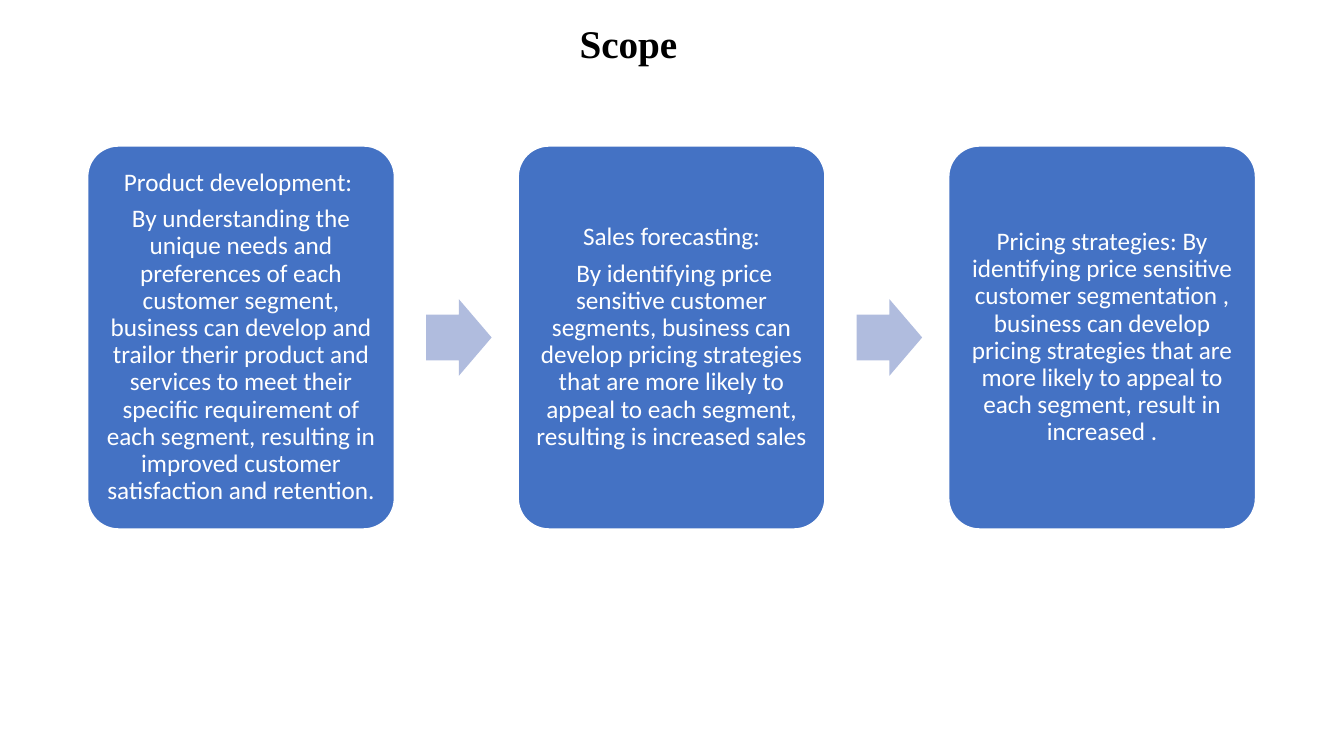
from pptx import Presentation
from pptx.dml.color import RGBColor
from pptx.enum.shapes import MSO_SHAPE as Kind
from pptx.enum.text import MSO_ANCHOR as Anchor, MSO_AUTO_SIZE as Fit, PP_ALIGN as Align
from pptx.util import Cm, Pt

BLUE = RGBColor(0x44, 0x72, 0xC4)
PALE = RGBColor(0xB0, 0xBC, 0xDE)
WHITE = RGBColor(0xFF, 0xFF, 0xFF)
BLACK = RGBColor(0, 0, 0)

LEFT, TOP, WIDE, HIGH, STEP = 2.21, 3.68, 7.73, 9.65, 10.85
CARDS = [
    ["Product development: ",
     "By understanding the unique needs and preferences of each customer segment, "
     "business can develop and trailor therir product and services to meet their "
     "specific requirement of each segment, resulting in improved customer "
     "satisfaction and retention."],
    ["Sales forecasting:",
     " By identifying price sensitive customer segments, business can develop "
     "pricing strategies that are more likely to appeal to each segment, "
     "resulting is increased sales "],
    ["Pricing strategies: By identifying price sensitive customer segmentation , "
     "business can develop pricing strategies that are more likely to appeal to "
     "each segment, result in increased ."],
]


def write(par, text, font, size, color, align):
    par.alignment = align
    par.line_spacing = 0.9
    run = par.add_run()
    run.text = text
    run.font.name = font
    run.font.size = Pt(size)
    run.font.color.rgb = color
    return run


deck = Presentation()
deck.slide_width, deck.slide_height = Cm(33.87), Cm(19.05)
slide = deck.slides.add_slide(deck.slide_layouts[5])

title = slide.shapes.title
title.left, title.top, title.width, title.height = Cm(14.35), Cm(0.74), Cm(4.7), Cm(0.84)
frame = title.text_frame
frame.auto_size = Fit.NONE
frame.vertical_anchor = Anchor.MIDDLE
run = write(frame.paragraphs[0], "Scope", "Times New Roman", 28, BLACK, Align.LEFT)
run.font.bold = True

for num, texts in enumerate(CARDS):
    left = LEFT + num * STEP
    if num:
        arrow = slide.shapes.add_shape(
            Kind.RIGHT_ARROW, Cm(left - 2.32), Cm(7.54), Cm(1.65), Cm(1.93))
        arrow.adjustments[0] = 0.6
        arrow.adjustments[1] = 0.5
        arrow.shadow.inherit = False
        arrow.fill.solid()
        arrow.fill.fore_color.rgb = PALE
        arrow.line.fill.background()

    card = slide.shapes.add_shape(
        Kind.ROUNDED_RECTANGLE, Cm(left), Cm(TOP), Cm(WIDE), Cm(HIGH))
    card.adjustments[0] = 0.1
    card.shadow.inherit = False
    card.fill.solid()
    card.fill.fore_color.rgb = BLUE
    card.line.color.rgb = WHITE
    card.line.width = Pt(1)

    frame = card.text_frame
    frame.word_wrap = True
    frame.vertical_anchor = Anchor.MIDDLE
    frame.margin_left = frame.margin_right = Cm(0.18)
    frame.margin_top = frame.margin_bottom = Cm(0.18)
    for row, text in enumerate(texts):
        par = frame.add_paragraph() if row else frame.paragraphs[0]
        par.space_after = Pt(6.3)
        write(par, text, "Calibri", 18, WHITE, Align.CENTER)

deck.save("out.pptx")
